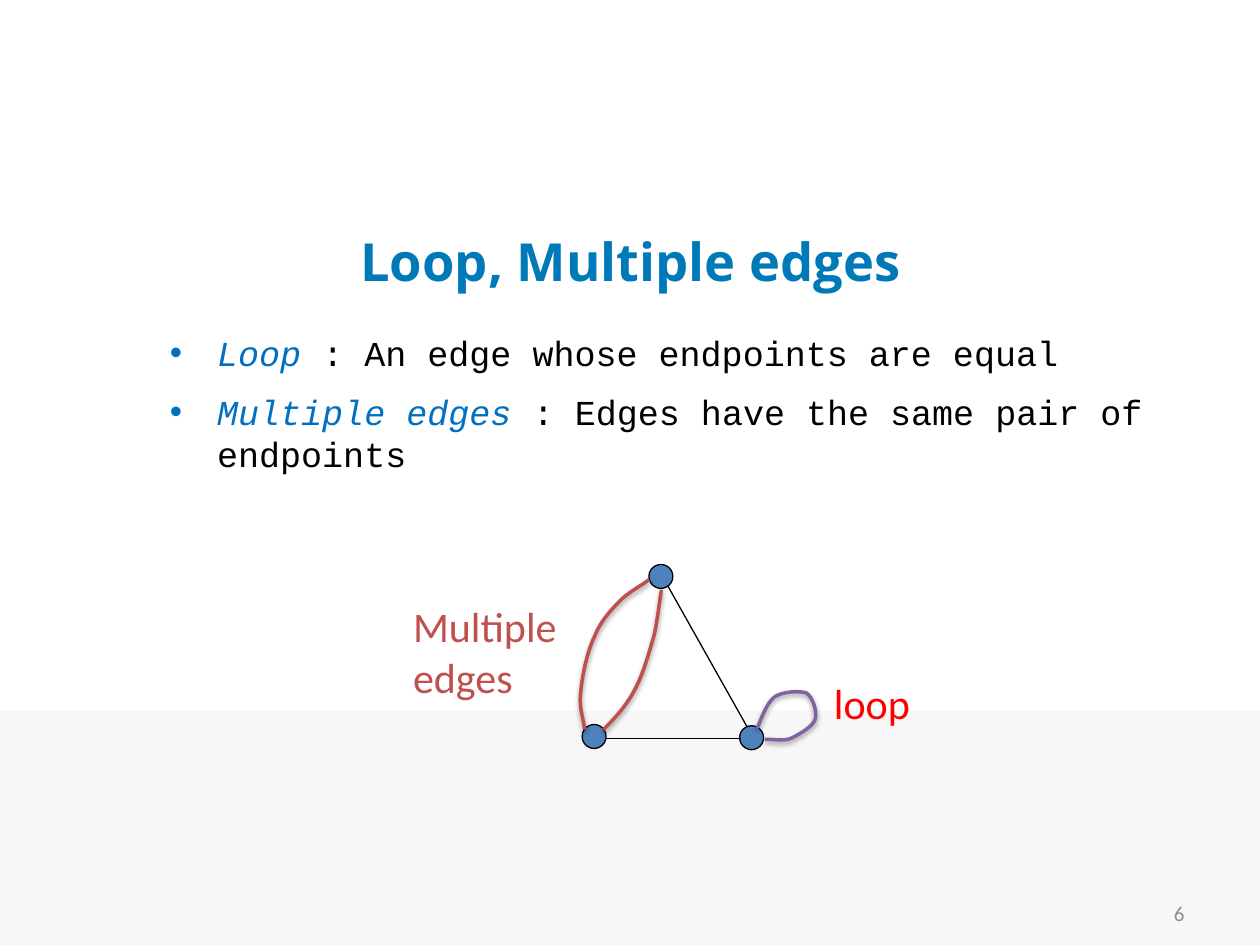
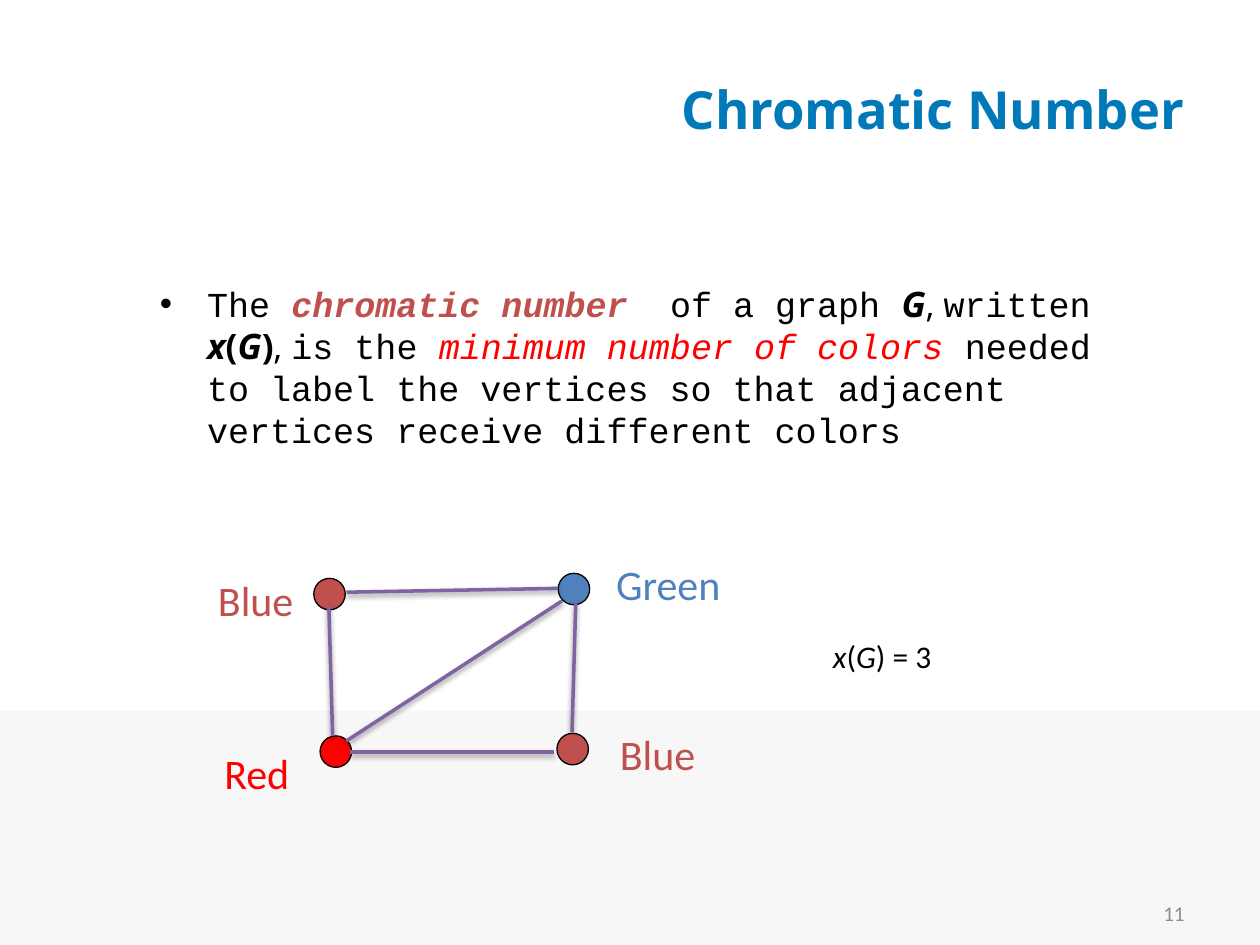
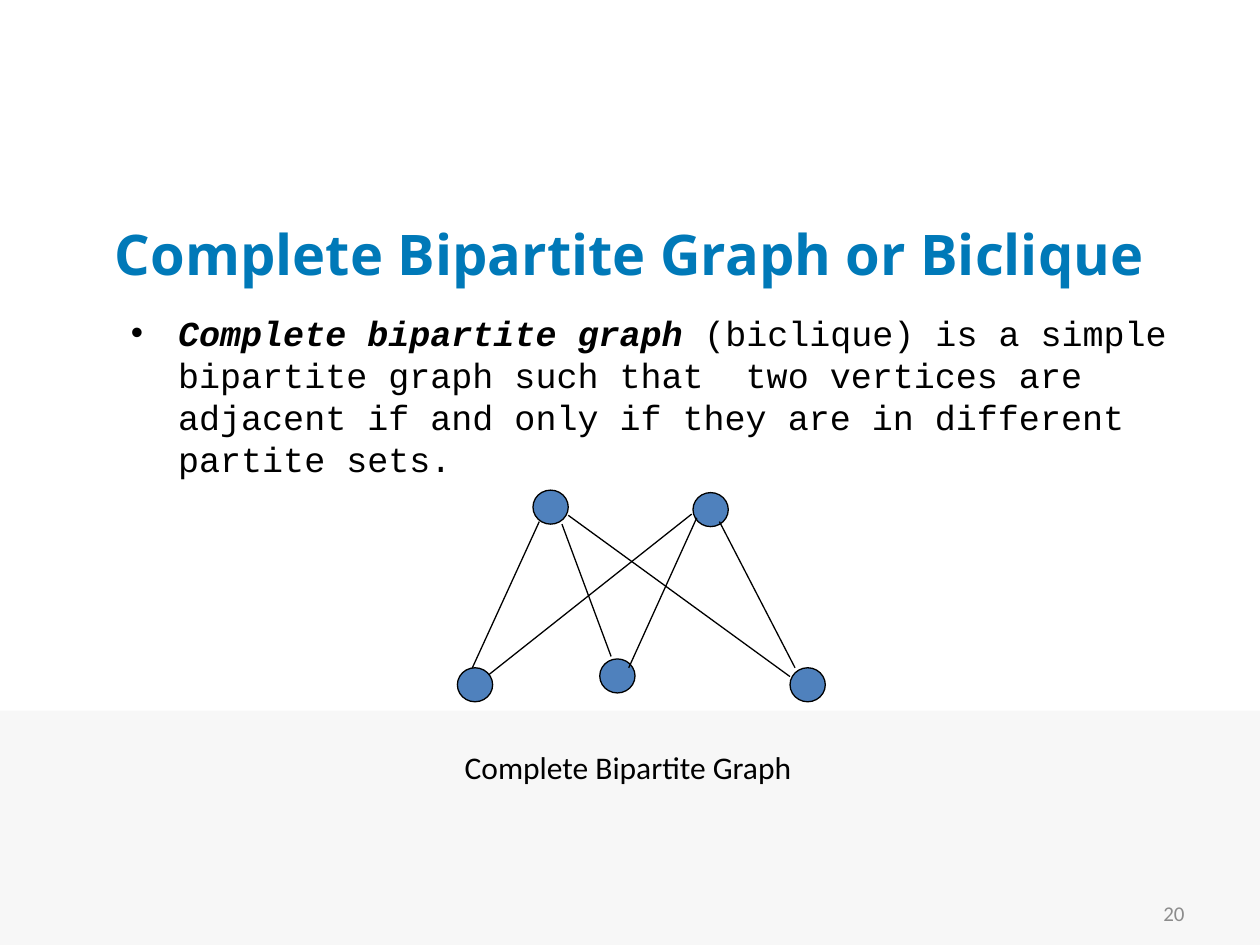
"""Build three graph theory slides: loops, chromatic number and bicliques."""
from typing import NamedTuple

from lxml import etree
from pptx import Presentation
from pptx.dml.color import RGBColor
from pptx.enum.shapes import MSO_CONNECTOR, MSO_SHAPE
from pptx.enum.text import MSO_ANCHOR, MSO_AUTO_SIZE, PP_ALIGN
from pptx.oxml.ns import qn
from pptx.util import Inches, Pt

STRAIGHT = MSO_CONNECTOR.STRAIGHT
RECTANGLE, OVAL = MSO_SHAPE.RECTANGLE, MSO_SHAPE.OVAL
MIDDLE, NO_FIT = MSO_ANCHOR.MIDDLE, MSO_AUTO_SIZE.NONE
LEFT, CENTER, RIGHT = PP_ALIGN.LEFT, PP_ALIGN.CENTER, PP_ALIGN.RIGHT

COLORS = {
    "white": "FFFFFF", "band": "F7F7F7", "number": "8C8C8C", "title": "0079B8",
    "term": "0070C0", "black": "000000", "red": "FF0000", "blue": "4F81BD",
    "brick": "C0504D", "purple": "8064A2",
}
TITLE_FONT, BODY_FONT, LABEL_FONT = "Open Sans", "Courier New", "Calibri"
TITLE_ONLY = 5
HANGING = Pt(27)

Point = tuple[float, float]
Box = tuple[float, float, float, float]


class Words(NamedTuple):
    """A stretch of text in one style."""
    text: str
    color: str = "black"
    bold: bool = False
    italic: bool = False
    font: str = BODY_FONT
    size: float = 20


class Label(NamedTuple):
    """A short text beside a graph."""
    box: Box
    lines: list[str]
    color: str
    inset: Point = (0.1, 0.05)


class Vertex(NamedTuple):
    """A graph vertex given by its top left corner."""
    left: float
    top: float
    color: str = "blue"


class Edge(NamedTuple):
    """A straight graph edge."""
    start: Point
    end: Point


class Curve(NamedTuple):
    """A chain of cubic arcs: a start, then two controls and an end for each arc."""
    points: list[Point]
    color: str


class Topic(NamedTuple):
    """The heading of a slide."""
    title: str
    box: Box
    number: int
    align: PP_ALIGN = CENTER
    size: float = 30


def rgb(color: str) -> RGBColor:
    """Look up a named colour."""
    return RGBColor.from_string(COLORS[color])


def write(paragraph, words: list[Words], align: PP_ALIGN = LEFT) -> None:
    """Fill a paragraph with styled words."""
    paragraph.alignment = align
    for part in words:
        run = paragraph.add_run()
        run.text = part.text
        font = run.font
        font.name, font.size = part.font, Pt(part.size)
        font.bold, font.italic = part.bold, part.italic
        font.color.rgb = rgb(part.color)


def add_text(slide, box: Box, paragraphs: list[list[Words]], align: PP_ALIGN = LEFT,
             inset: Point = (0.1, 0.05)):
    """Add a wrapping text box and return its frame."""
    frame = slide.shapes.add_textbox(*map(Inches, box)).text_frame
    frame.word_wrap = True
    frame.margin_left = frame.margin_right = Inches(inset[0])
    frame.margin_top = frame.margin_bottom = Inches(inset[1])
    for index, words in enumerate(paragraphs):
        paragraph = frame.add_paragraph() if index else frame.paragraphs[0]
        write(paragraph, words, align)
    return frame


def add_bullets(slide, box: Box, items: list[list[Words]]) -> None:
    """Add a bulleted list with hanging indents."""
    frame = add_text(slide, box, items)
    for index, paragraph in enumerate(frame.paragraphs):
        properties = paragraph._p.get_or_add_pPr()
        properties.set("marL", str(HANGING))
        properties.set("indent", str(-HANGING))
        etree.SubElement(properties, qn("a:buFont"), typeface="Arial")
        etree.SubElement(properties, qn("a:buChar"), char="•")
        if index:
            paragraph.space_before = Pt(10)


def add_label(slide, label: Label) -> None:
    """Add a coloured label."""
    lines = [[Words(line, label.color, font=LABEL_FONT, size=24)] for line in label.lines]
    add_text(slide, label.box, lines, inset=label.inset)


def add_solid(slide, kind: MSO_SHAPE, box: Box, color: str):
    """Add a filled shape without outline or shadow."""
    shape = slide.shapes.add_shape(kind, *map(Inches, box))
    shape.shadow.inherit = False
    shape.fill.solid()
    shape.fill.fore_color.rgb = rgb(color)
    shape.line.fill.background()
    return shape


def add_vertex(slide, vertex: Vertex, width: float, height: float) -> None:
    """Add an outlined vertex."""
    dot = add_solid(slide, OVAL, (vertex.left, vertex.top, width, height), vertex.color)
    dot.line.color.rgb = rgb("black")
    dot.line.width = Pt(0.75)


def style_stroke(stroke, color: str, width: float, shadow: bool) -> None:
    """Set a stroke's colour, width and shadow."""
    stroke.line.color.rgb = rgb(color)
    stroke.line.width = Pt(width)
    effects = etree.SubElement(stroke.element.spPr, qn("a:effectLst"))
    if shadow:
        cast = etree.SubElement(effects, qn("a:outerShdw"), blurRad=str(Pt(3.1)),
                                dist=str(Pt(1.6)), dir="5400000", rotWithShape="0")
        shade = etree.SubElement(cast, qn("a:srgbClr"), val=COLORS["black"])
        etree.SubElement(shade, qn("a:alpha"), val="38000")


def add_edge(slide, edge: Edge, color: str = "black", width: float = 0.75,
             shadow: bool = False) -> None:
    """Add a straight edge."""
    line = slide.shapes.add_connector(STRAIGHT, *map(Inches, edge.start + edge.end))
    style_stroke(line, color, width, shadow)


def add_curve(slide, curve: Curve) -> None:
    """Add a curved edge, bending each straight segment into a cubic arc."""
    points = [(Inches(x), Inches(y)) for x, y in curve.points]
    builder = slide.shapes.build_freeform(*points[0])
    builder.add_line_segments(points[3::3], close=False)
    outline = builder.convert_to_shape()
    segments = list(outline.element.iter(qn("a:lnTo")))
    for segment, *controls in zip(segments, points[1::3], points[2::3]):
        segment.tag = qn("a:cubicBezTo")
        for place, (x, y) in enumerate(controls):
            control = etree.Element(qn("a:pt"), x=str(x - outline.left),
                                    y=str(y - outline.top))
            segment.insert(place, control)
    outline.fill.background()
    style_stroke(outline, curve.color, 2, True)


def start_slide(deck, topic: Topic):
    """Add a slide with its title and number."""
    slide = deck.slides.add_slide(deck.slide_layouts[TITLE_ONLY])
    title = slide.shapes.title
    title.left, title.top, title.width, title.height = map(Inches, topic.box)
    frame = title.text_frame
    frame.auto_size, frame.vertical_anchor = NO_FIT, MIDDLE
    write(frame.paragraphs[0],
          [Words(topic.title, "title", bold=True, font=TITLE_FONT, size=topic.size)],
          topic.align)
    number = Words(str(topic.number), "number", font=LABEL_FONT, size=12)
    add_text(slide, (7.17, 7.05, 2.33, 0.4), [[number]], RIGHT).vertical_anchor = MIDDLE
    return slide


def share_band(slide) -> None:
    """Draw the bottom band and move it to the layout, behind every slide."""
    band = add_solid(slide, RECTANGLE, (0, 5.64, 10, 1.86), "band")
    slide.slide_layout.shapes.element.insert(2, band.element)


def build_loop_slide(deck) -> None:
    """Build the slide on loops and multiple edges."""
    slide = start_slide(deck, Topic("Loop, Multiple edges", (0.52, 1.55, 8.97, 1.03), 6))
    share_band(slide)
    add_bullets(slide, (1.25, 2.58, 8.23, 1.73), [
        [Words("Loop ", "term", italic=True), Words(": An edge whose endpoints are equal")],
        [Words("Multiple edges ", "term", italic=True),
         Words(": Edges have the same pair of endpoints")],
    ])
    add_label(slide, Label((6.52, 5.33, 0.89, 0.51), ["loop"], "red"))
    add_label(slide, Label((3.18, 4.72, 1.43, 0.94), ["Multiple", "edges"], "brick"))
    for vertex in (Vertex(5.15, 4.48), Vertex(4.62, 5.75), Vertex(5.87, 5.76)):
        add_vertex(slide, vertex, 0.19, 0.19)
    for edge in (Edge((4.81, 5.86), (5.88, 5.86)), Edge((5.3, 4.65), (5.93, 5.77))):
        add_edge(slide, edge)
    outer_edge = Curve([
        (5.15, 4.6), (5.12, 4.63), (5.02, 4.68), (4.94, 4.75),
        (4.87, 4.82), (4.77, 4.92), (4.72, 5.05),
        (4.66, 5.17), (4.62, 5.37), (4.61, 5.49),
        (4.59, 5.62), (4.64, 5.73), (4.64, 5.79)], "brick")
    inner_edge = Curve([
        (5.25, 4.68), (5.23, 4.8), (5.22, 4.92), (5.19, 5.05),
        (5.15, 5.18), (5.11, 5.34), (5.04, 5.47),
        (4.98, 5.59), (4.89, 5.69), (4.79, 5.79)], "brick")
    loop = Curve([
        (6.01, 5.78), (6.03, 5.74), (6.08, 5.58), (6.15, 5.53),
        (6.21, 5.49), (6.34, 5.48), (6.4, 5.5),
        (6.45, 5.53), (6.49, 5.65), (6.47, 5.71),
        (6.45, 5.77), (6.34, 5.83), (6.28, 5.86),
        (6.21, 5.89), (6.11, 5.86), (6.07, 5.87)], "purple")
    for curve in (outer_edge, inner_edge, loop):
        add_curve(slide, curve)


def build_chromatic_slide(deck) -> None:
    """Build the slide on the chromatic number."""
    slide = start_slide(
        deck, Topic("Chromatic Number", (1.77, 0.24, 7.73, 1.25), 11, RIGHT))
    add_bullets(slide, (1.17, 2.19, 8.02, 1.95), [[
        Words("The "),
        Words("chromatic number", "brick", bold=True, italic=True),
        Words("  of a graph "),
        Words("G", bold=True, italic=True, font=TITLE_FONT),
        Words(", ", font=TITLE_FONT),
        Words("written "),
        Words("x", bold=True, italic=True, font=TITLE_FONT),
        Words("(", bold=True, font=TITLE_FONT),
        Words("G", bold=True, italic=True, font=TITLE_FONT),
        Words(")", bold=True, font=TITLE_FONT),
        Words(", ", font=TITLE_FONT),
        Words("is the "),
        Words("minimum number of colors ", "red", italic=True),
        Words("needed to label the vertices so that adjacent vertices "
              "receive different colors"),
    ]])
    size = 0.25
    for vertex in (Vertex(2.49, 4.59, "brick"), Vertex(4.43, 4.55),
                   Vertex(2.54, 5.84, "red")):
        add_vertex(slide, vertex, size, size)
    for edge in (Edge((2.61, 4.81), (2.64, 5.84)), Edge((2.78, 5.97), (4.4, 5.97)),
                 Edge((4.57, 4.78), (4.54, 5.81)), Edge((2.75, 4.7), (4.43, 4.67)),
                 Edge((4.46, 4.77), (2.75, 5.88))):
        add_edge(slide, edge, "purple", 2, True)
    add_vertex(slide, Vertex(4.42, 5.82, "brick"), size, size)
    inset = (0.11, 0.06)
    for label in (Label((1.67, 5.87, 0.79, 0.52), ["Red"], "red", inset),
                  Label((4.78, 4.37, 1.23, 0.52), ["Green"], "blue", inset),
                  Label((4.81, 5.72, 1.04, 0.52), ["Blue"], "brick", inset),
                  Label((1.62, 4.5, 0.88, 0.52), ["Blue"], "brick", inset)):
        add_label(slide, label)
    formula = [Words(text, italic=text.isalpha(), font=LABEL_FONT, size=18)
               for text in ("x", "(", "G", ") = 3")]
    add_text(slide, (6.52, 5.01, 1.82, 0.39), [formula], inset=(0.09, 0.05))


def build_biclique_slide(deck) -> None:
    """Build the slide on complete bipartite graphs."""
    slide = start_slide(deck, Topic("Complete Bipartite Graph or Biclique",
                                    (0.75, 1.6, 8.5, 0.82), 20, size=32))
    add_bullets(slide, (0.94, 2.42, 8.61, 1.56), [[
        Words("Complete bipartite graph", bold=True, italic=True),
        Words(" (biclique) is a simple bipartite graph such that  two vertices are "
              "adjacent if and only if they are in different partite sets."),
    ]])
    caption = Words("Complete Bipartite Graph", font=LABEL_FONT, size=18)
    add_text(slide, (3.59, 5.89, 3.14, 0.4), [[caption]])
    width, height = 0.28, 0.27
    for vertex in (Vertex(5.5, 3.91), Vertex(4.23, 3.89), Vertex(4.76, 5.23),
                   Vertex(6.27, 5.3)):
        add_vertex(slide, vertex, width, height)
    for edge in (Edge((4.28, 4.14), (3.74, 5.32)), Edge((4.46, 4.16), (4.85, 5.21)),
                 Edge((5.53, 4.11), (4.99, 5.3)), Edge((5.71, 4.14), (6.31, 5.3)),
                 Edge((4.51, 4.09), (6.27, 5.37)), Edge((5.49, 4.08), (3.81, 5.41))):
        add_edge(slide, edge)
    add_vertex(slide, Vertex(3.63, 5.3), width, height)


def main() -> None:
    """Build and save the deck."""
    deck = Presentation()
    deck.slide_width, deck.slide_height = Inches(10), Inches(7.5)
    backdrop = deck.slide_master.background.fill
    backdrop.solid()
    backdrop.fore_color.rgb = rgb("white")
    build_loop_slide(deck)
    build_chromatic_slide(deck)
    build_biclique_slide(deck)
    deck.save("out.pptx")


if __name__ == "__main__":
    main()
